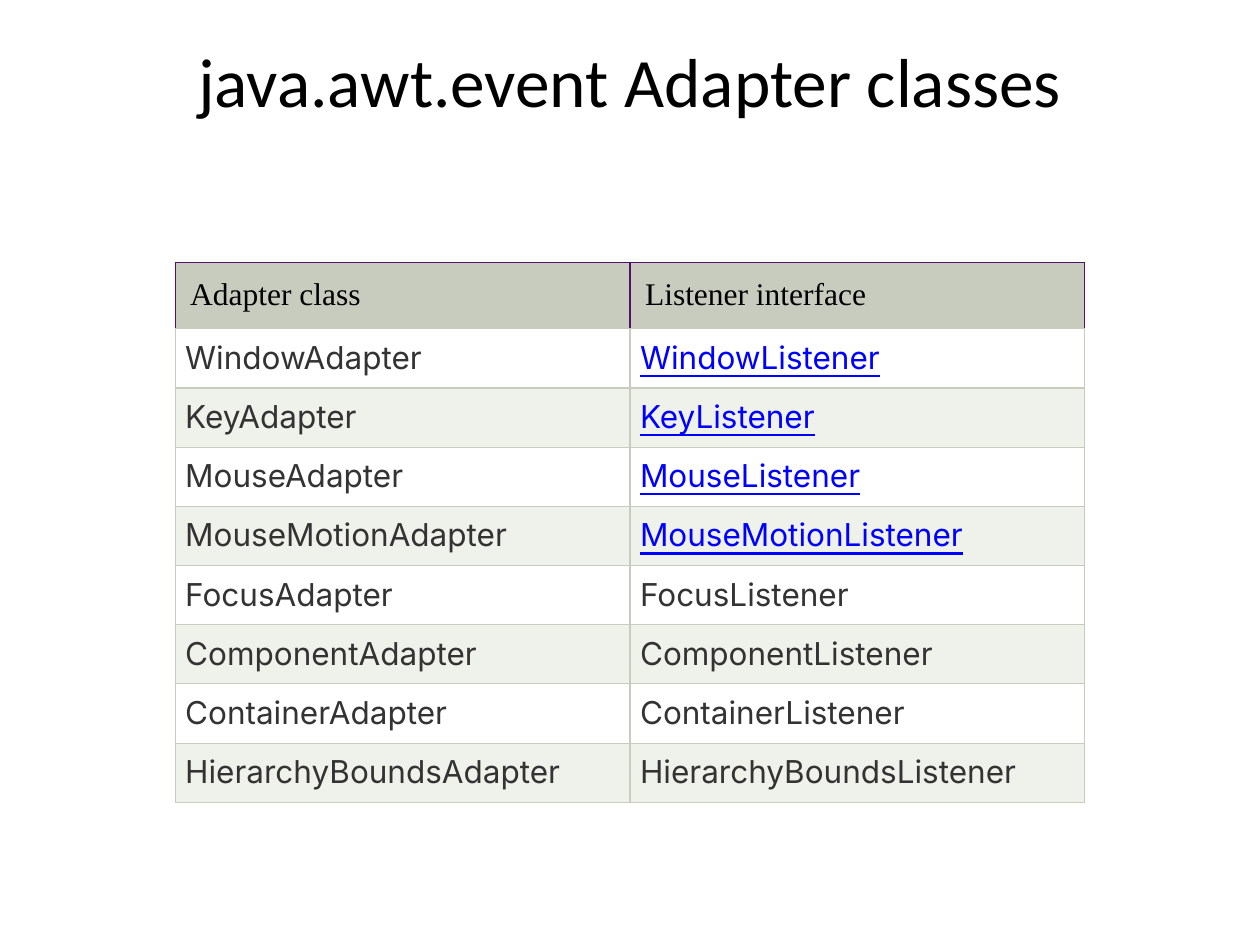
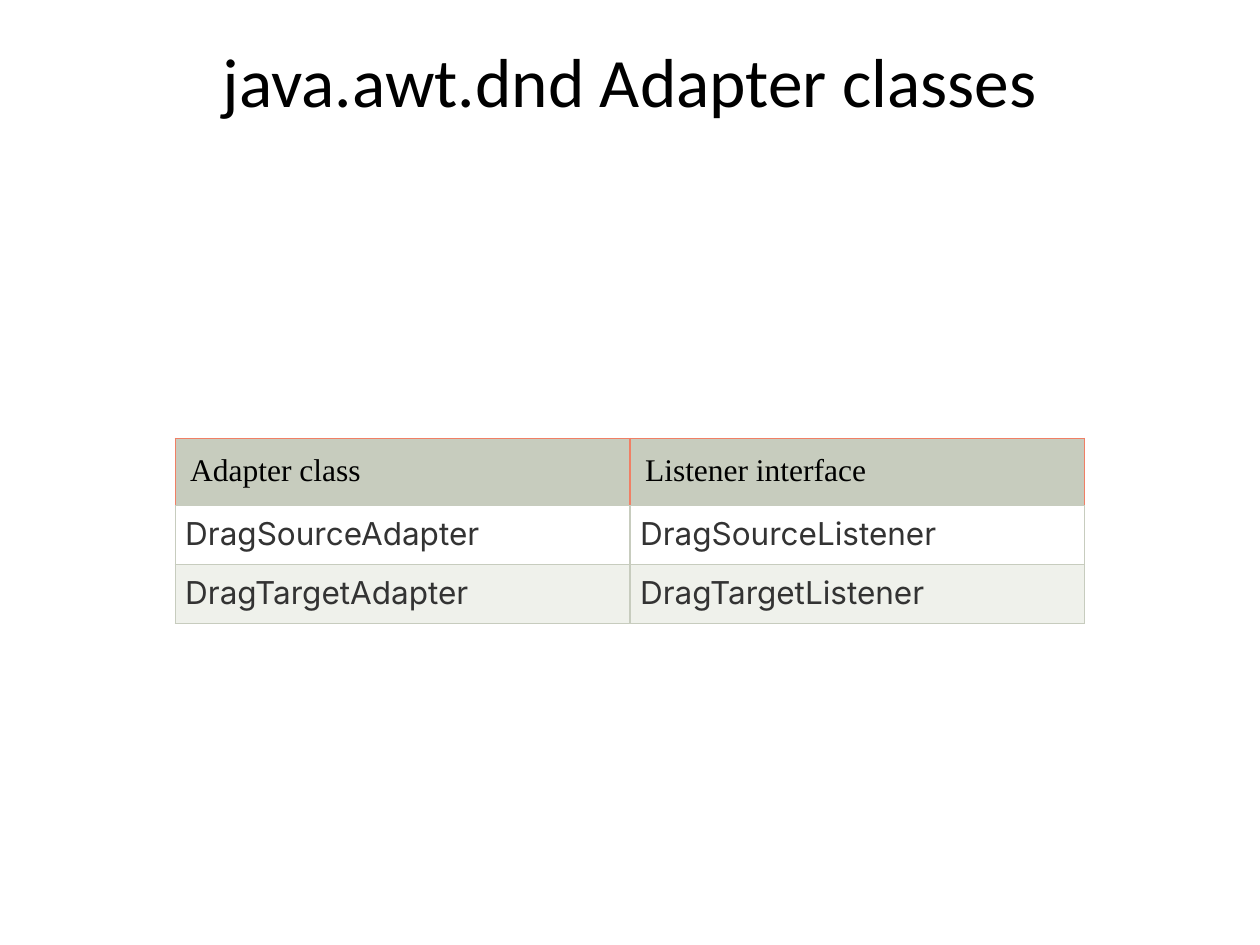
"""Build two slides that list Java adapter classes with their listeners."""
from lxml import etree
from pptx import Presentation
from pptx.dml.color import RGBColor
from pptx.enum.text import MSO_ANCHOR, PP_ALIGN
from pptx.oxml.ns import qn
from pptx.util import Inches, Pt

TOP, MIDDLE = MSO_ANCHOR.TOP, MSO_ANCHOR.MIDDLE
LEFT, CENTER, JUSTIFY = PP_ALIGN.LEFT, PP_ALIGN.CENTER, PP_ALIGN.JUSTIFY
TITLE_ONLY = 5

BLACK, TEXT, LINK = "000000", "333333", "0000FF"
GRID, BANDS = "C7CCBE", ("FFFFFF", "EFF1EB")
TABLE_LEFT, COLUMN_WIDTH = 1.39, 3.61
HEADER_HEIGHT, ROW_HEIGHT = 0.53, 0.47
HEADERS = ("Adapter class", "Listener interface")

EVENT_NAMES = ("Window", "Key", "Mouse", "MouseMotion", "Focus",
               "Component", "Container", "HierarchyBounds")
LINKED_NAMES = EVENT_NAMES[:4]
DND_NAMES = ("DragSource", "DragTarget")


def rgb(color):
    """Turn a hex string into a colour."""
    return RGBColor.from_string(color)


def format_text(tf, size, font, color, align, underline=False):
    """Format the first paragraph of a text frame."""
    p = tf.paragraphs[0]
    p.alignment = align
    for r in p.runs:
        r.font.size = Pt(size)
        r.font.name = font
        r.font.color.rgb = rgb(color)
        r.font.underline = underline


def add_title(slide, text):
    """Place and format the slide title."""
    sp = slide.shapes.title
    sp.left, sp.top = Inches(0.5), Inches(0.3)
    sp.width, sp.height = Inches(9), Inches(1.25)
    tf = sp.text_frame
    tf.text = text
    tf.vertical_anchor = TOP
    tf.margin_top = 0
    format_text(tf, 39.6, "Calibri", BLACK, CENTER)


def set_borders(cell, sides, bottom):
    """Draw the four borders of a cell."""
    tc_pr = cell._tc.get_or_add_tcPr()
    for tag, color in (("a:lnL", sides), ("a:lnR", sides),
                       ("a:lnT", sides), ("a:lnB", bottom)):
        ln = etree.SubElement(tc_pr, qn(tag), w=str(Pt(0.75)))
        fill = etree.SubElement(ln, qn("a:solidFill"))
        etree.SubElement(fill, qn("a:srgbClr"), val=color)


def format_cell(cell, text, fill, margin, border):
    """Fill a cell with text, colour, margins and borders."""
    cell.text = text
    cell.vertical_anchor = TOP
    cell.margin_left = cell.margin_right = Inches(margin)
    cell.margin_top = cell.margin_bottom = Inches(margin)
    set_borders(cell, border, GRID)
    cell.fill.solid()
    cell.fill.fore_color.rgb = rgb(fill)


def add_adapter_table(slide, top, names, header_border, linked=()):
    """Add a table that pairs each adapter with its listener."""
    height = HEADER_HEIGHT + ROW_HEIGHT * len(names)
    table = slide.shapes.add_table(
        len(names) + 1, len(HEADERS), Inches(TABLE_LEFT), Inches(top),
        Inches(COLUMN_WIDTH * len(HEADERS)), Inches(height)).table
    table.first_row = table.horz_banding = False
    for column in table.columns:
        column.width = Inches(COLUMN_WIDTH)
    for i, row in enumerate(table.rows):
        row.height = Inches(ROW_HEIGHT if i else HEADER_HEIGHT)

    for j, header in enumerate(HEADERS):
        cell = table.cell(0, j)
        format_cell(cell, header, GRID, 0.12, header_border)
        format_text(cell.text_frame, 18, "Times New Roman", BLACK, LEFT)

    for i, name in enumerate(names):
        for j, suffix in enumerate(("Adapter", "Listener")):
            cell = table.cell(i + 1, j)
            is_link = j == 1 and name in linked
            format_cell(cell, name + suffix, BANDS[i % 2], 0.08, GRID)
            format_text(cell.text_frame, 18, "Inter",
                        LINK if is_link else TEXT, JUSTIFY, is_link)


def add_adapter_slide(prs, package, top, names, header_border, linked=()):
    """Add a titled slide with the adapters of one package."""
    slide = prs.slides.add_slide(prs.slide_layouts[TITLE_ONLY])
    add_title(slide, f"{package} Adapter classes")
    add_adapter_table(slide, top, names, header_border, linked)


def main():
    """Build and save the presentation."""
    prs = Presentation()
    prs.slide_width, prs.slide_height = Inches(10), Inches(7.5)
    add_adapter_slide(prs, "java.awt.event", 2.08, EVENT_NAMES, "501166",
                      LINKED_NAMES)
    add_adapter_slide(prs, "java.awt.dnd", 3.48, DND_NAMES, "F07F65")
    prs.save("out.pptx")


if __name__ == "__main__":
    main()
